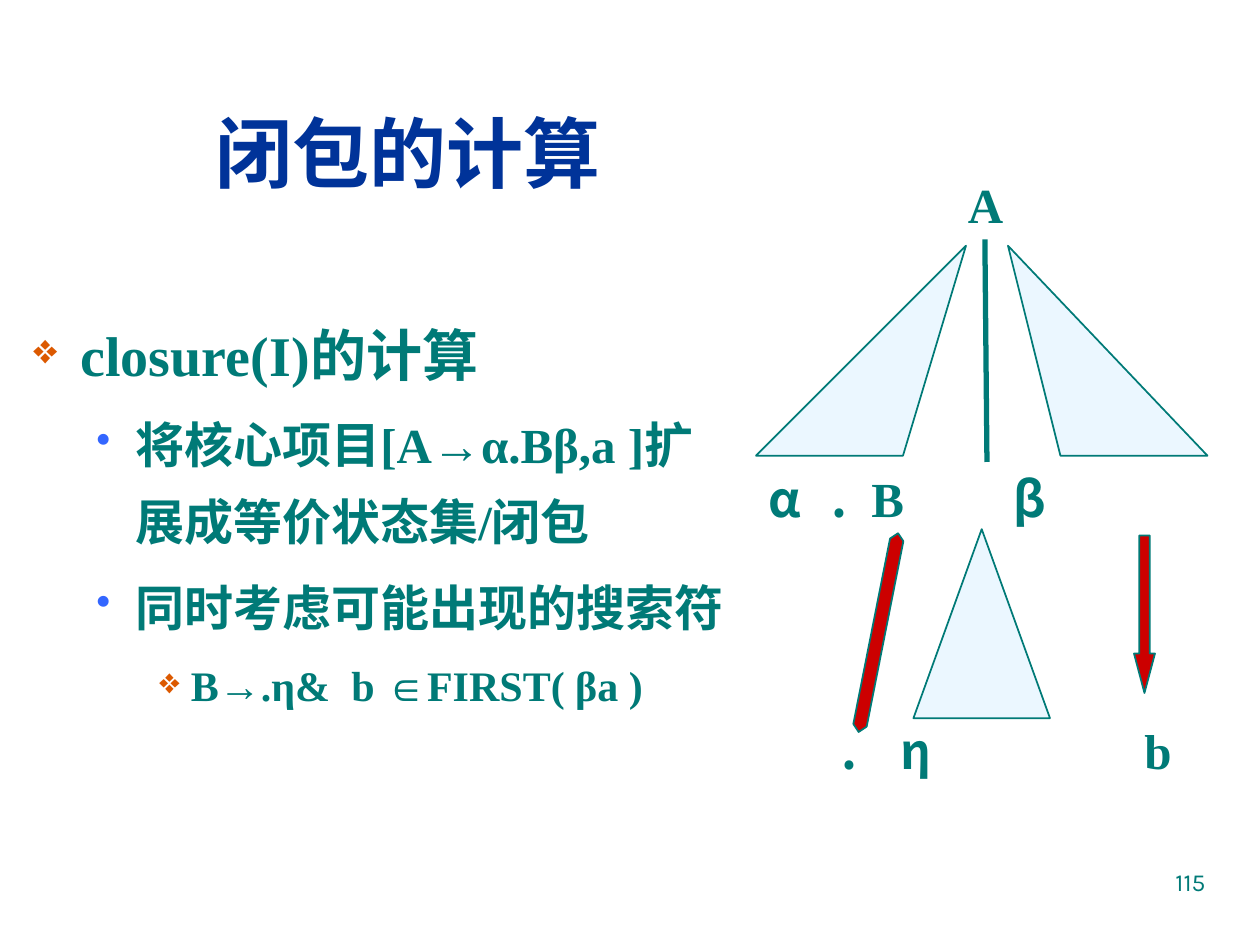
from dataclasses import dataclass

import lxml.etree
import pptx
import pptx.dml.color
import pptx.enum.shapes
import pptx.enum.text
import pptx.oxml.ns
import pptx.util

SHAPE = pptx.enum.shapes.MSO_SHAPE
ALIGN = pptx.enum.text.PP_ALIGN
ANCHOR = pptx.enum.text.MSO_ANCHOR
CELL = pptx.util.Inches(1) / 12  # the slide is a grid of 120 columns by 90 rows


@dataclass(frozen=True)
class Theme:
    serif: str = "Times New Roman"
    sans: str = "Noto Sans CJK SC"
    number: str = "Karla"
    title: str = "003399"
    text: str = "007A77"
    pale: str = "EBF7FF"
    arrow: str = "CC0000"
    diamond: str = "DC5900"
    dot: str = "3366FF"
    title_size: int = 44
    body_sizes: tuple = (32, 28, 24)
    label_size: int = 28
    number_size: int = 14


THEME = Theme()


@dataclass(frozen=True)
class Box:
    """An area in grid cells; parts inside are placed from its corner."""
    column: float
    row: float
    columns: float
    rows: float

    def point(self, column, row):
        return round((self.column + column) * CELL), round((self.row + row) * CELL)

    def area(self, column=0, row=0, columns=None, rows=None):
        width = self.columns if columns is None else columns
        height = self.rows if rows is None else rows
        return (*self.point(column, row), round(width * CELL), round(height * CELL))


def color(value):
    return pptx.dml.color.RGBColor.from_string(value)


def add_element(parent, tag, **attributes):
    element = lxml.etree.SubElement(parent, pptx.oxml.ns.qn(tag))
    for name, value in attributes.items():
        element.set(name, str(value))
    return element


def add_run(paragraph, text, font=THEME.serif, size=THEME.label_size,
            fill=THEME.text, bold=True):
    run = paragraph.add_run()
    run.text = text
    run.font.name = font
    run.font.size = pptx.util.Pt(size)
    run.font.bold = bold
    run.font.color.rgb = color(fill)
    return run


def add_text(slide, area, text="", align=ALIGN.LEFT, anchor=ANCHOR.TOP,
             wrap=True, tabs=(), **style):
    frame = slide.shapes.add_textbox(*area).text_frame
    frame.word_wrap = wrap
    frame.vertical_anchor = anchor
    paragraph = frame.paragraphs[0]
    paragraph.alignment = align
    if tabs:
        tab_list = add_element(paragraph._p.get_or_add_pPr(), "a:tabLst")
        for column in tabs:
            add_element(tab_list, "a:tab", pos=round(column * CELL), algn="l")
    if text:
        add_run(paragraph, text, **style)
    return frame


def paint(shape, fill):
    shape.shadow.inherit = False
    shape.fill.solid()
    shape.fill.fore_color.rgb = color(fill)
    shape.line.color.rgb = color(THEME.text)
    shape.line.width = pptx.util.Pt(1)


def add_shape(slide, kind, area, fill, adjustments=(0.5,), rotation=0):
    shape = slide.shapes.add_shape(kind, *area)
    for index, value in enumerate(adjustments):
        shape.adjustments[index] = value
    shape.rotation = rotation
    paint(shape, fill)


def add_outline(slide, points):
    builder = slide.shapes.build_freeform(*points[0])
    builder.add_line_segments(points[1:], close=True)
    paint(builder.convert_to_shape(), THEME.pale)


def add_bullet(paragraph, level):
    # Left edge, hanging indent, symbol, colour and relative size per level
    left, hang, symbol, fill, share = (
        (4.5, 4.5, "❖", THEME.diamond, 75),
        (9.75, 3.75, "•", THEME.dot, 85),
        (15, 3, "❖", THEME.diamond, 85),
    )[level]
    paragraph.level = level
    properties = paragraph._p.get_or_add_pPr()
    properties.set("marL", str(round(left * CELL)))
    properties.set("indent", str(round(-hang * CELL)))
    add_element(add_element(properties, "a:buClr"), "a:srgbClr", val=fill)
    add_element(properties, "a:buSzPct", val=share * 1000)
    add_element(properties, "a:buChar", char=symbol)


def build_title(slide, box):
    add_text(slide, box.area(), "闭包的计算", align=ALIGN.CENTER, anchor=ANCHOR.MIDDLE,
             size=THEME.title_size, fill=THEME.title)


def build_body(slide, box):
    items = (
        (0, "closure(I)的计算"),
        (1, "将核心项目[A→α.Bβ,a ]扩展成等价状态集/闭包"),
        (1, "同时考虑可能出现的搜索符"),
        (2, "B→.η&"),
    )
    frame = add_text(slide, box.area())
    for index, (level, text) in enumerate(items):
        paragraph = frame.add_paragraph() if index else frame.paragraphs[0]
        size = THEME.body_sizes[level]
        add_bullet(paragraph, level)
        paragraph.line_spacing = 1.3
        if index:
            paragraph.space_before = pptx.util.Pt(size * 0.2)
        add_run(paragraph, text, size=size)
    # A widened space separates the item from its search symbol
    gap = add_run(paragraph, " ", size=size)
    gap.font._element.set("spc", "600")
    add_run(paragraph, "b ∈FIRST( βa )", size=size)


def build_diagram(slide, box):
    # Labels of the derivation tree
    label_rows = 6.8
    symbols = add_text(slide, box.area(0, 28, 44, label_rows), "α\t.\t",
                       font=THEME.sans, tabs=(6, 9.8, 23.3)).paragraphs[0]
    add_run(symbols, "B\t")
    add_run(symbols, "β", font=THEME.sans)
    add_text(slide, box.area(19, 0, 5.8, label_rows), "A", wrap=False)
    add_text(slide, box.area(7, 52, 25, label_rows), ".\tη",
             font=THEME.sans, tabs=(5.6,))

    # Stem between the two upper subtrees
    stem = slide.shapes.add_connector(
        pptx.enum.shapes.MSO_CONNECTOR.STRAIGHT, *box.point(21.8, 6.8), *box.point(22, 28))
    stem.line.color.rgb = color(THEME.text)
    stem.line.width = pptx.util.Pt(3)
    add_element(stem._element.spPr, "a:effectLst")

    # Subtrees: apex column, outer and inner base columns
    for apex, outer, inner in ((20, 0, 14), (24, 43, 29)):
        add_outline(slide, [box.point(apex, 7.4), box.point(outer, 27.4),
                            box.point(inner, 27.4)])
    add_shape(slide, SHAPE.ISOSCELES_TRIANGLE, box.area(15, 34.4, 13, 18), THEME.pale)

    # Arrows to the expanded item and its search symbol
    add_shape(slide, SHAPE.UP_DOWN_ARROW, box.area(11, 34.6, 1.3, 19.3), THEME.arrow,
              adjustments=(0.5, 2.9), rotation=11.2)
    add_text(slide, box.area(35.8, 52, 5, label_rows), "b", wrap=False)
    add_shape(slide, SHAPE.DOWN_ARROW, box.area(36, 35, 2, 15), THEME.arrow,
              adjustments=(0.5, 1.88))


def build_page_number(slide, box):
    add_text(slide, box.area(), "115", align=ALIGN.RIGHT, font=THEME.number,
             size=THEME.number_size, bold=False)


def main():
    presentation = pptx.Presentation()
    presentation.slide_width = pptx.util.Inches(10)
    presentation.slide_height = pptx.util.Inches(7.5)
    slide = presentation.slides.add_slide(presentation.slide_layouts[6])
    build_title(slide, Box(12.7, 7.2, 52.3, 14.5))
    build_body(slide, Box(2, 28, 69, 54))
    build_page_number(slide, Box(86, 82, 30, 6.2))
    build_diagram(slide, Box(72, 16, 44, 59))
    presentation.save("out.pptx")


if __name__ == "__main__":
    main()
